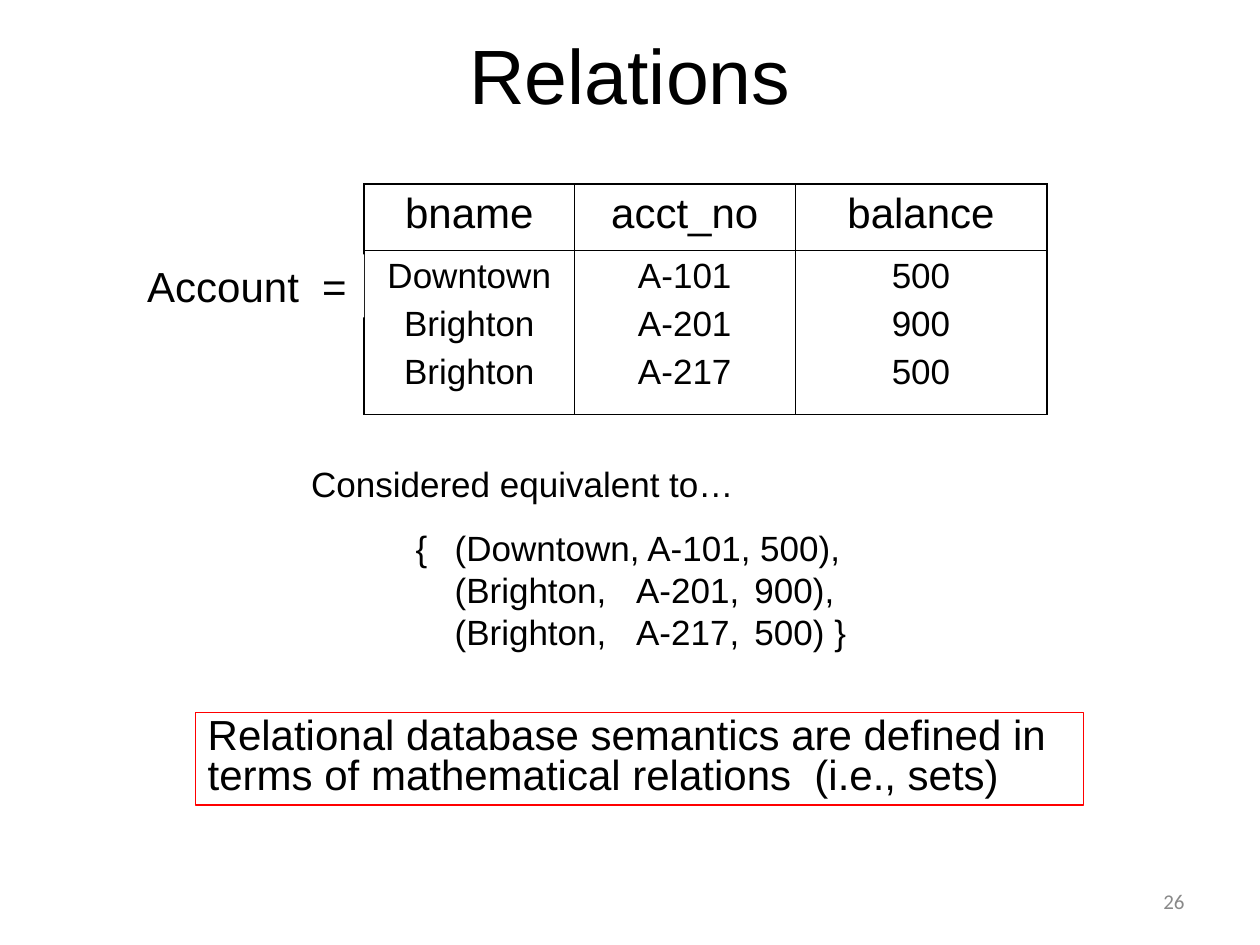
from lxml.etree import SubElement
from pptx import Presentation
from pptx.dml.color import RGBColor
from pptx.enum.shapes import MSO_SHAPE
from pptx.enum.text import MSO_ANCHOR as ANCHOR, MSO_AUTO_SIZE as AUTO, PP_ALIGN as AL
from pptx.oxml.ns import qn
from pptx.util import Pt

BLACK = "000000"
TITLE = "Relations"
HEADER = ["bname", "acct_no", "balance"]
ROWS = [("Downtown", "A-101", "500"),
        ("Brighton", "A-201", "900"),
        ("Brighton", "A-217", "500")]
SET_LINES = [" \t{ \t(Downtown, A-101, 500),",
             "\t\t(Brighton, \tA-201, \t900),",
             "\t\t(Brighton, \tA-217, \t500) }"]
SET_TABS = [49.68, 72, 90, 175.68, 243.36, 288, 360]
SEMANTICS = ("Relational database semantics are defined in terms of "
             "mathematical relations  (i.e., sets)")
COLS = [120.24, 126, 144]
HEIGHTS = [38.16, 93.6]
OUTER, INNER = 1.08, 0.45

GROW = dict(auto_size=AUTO.SHAPE_TO_FIT_TEXT)
MIDDLE = dict(vertical_anchor=ANCHOR.MIDDLE)
TEXTS = [
    ((0, 0, 720, 84.24), [TITLE], 44, dict(align=AL.CENTER), MIDDLE),
    ((180.72, 297.36, 386.64, 79.2), SET_LINES, 20, dict(tabs=SET_TABS), GROW),
    ((170.64, 260.64, 262, 31.68), ["Considered equivalent to…"], 20, {}, GROW),
    ((516.24, 500.4, 167.76, 28.8), ["26"], 12,
     dict(align=AL.RIGHT, font="Calibri", color="898989"), MIDDLE),
]
BOXES = [
    ((77.04, 145.44, 131, 36), "Account  =", "FFFFFF", None, {}),
    ((111.6, 407, 507.6, 53), SEMANTICS, None, "FF0000", dict(spacing=0.8)),
]


def rgb(value):
    return RGBColor.from_string(value)


def write(tf, lines, size, align=AL.LEFT, font="Arial", color=BLACK,
          tabs=(), spacing=None, gap=0):
    for i, line in enumerate(lines):
        p = tf.paragraphs[0] if i == 0 else tf.add_paragraph()
        if tabs:
            tab_list = SubElement(p._p.get_or_add_pPr(), qn("a:tabLst"))
            for pos in tabs:
                SubElement(tab_list, qn("a:tab"), pos=str(Pt(pos)), algn="l")
        p.alignment = align
        if spacing:
            p.line_spacing = spacing
        if i and gap:
            p.space_before = Pt(gap)
        r = p.add_run()
        r.text = line
        for key, value in dict(name=font, size=Pt(size)).items():
            setattr(r.font, key, value)
        r.font.color.rgb = rgb(color)


def fit(tf, frame):
    for key, value in dict(frame, word_wrap=True).items():
        setattr(tf, key, value)


def border(cell, side, width):
    ln = SubElement(cell._tc.get_or_add_tcPr(), qn("a:ln" + side), w=str(Pt(width)))
    SubElement(SubElement(ln, qn("a:solidFill")), qn("a:srgbClr"), val=BLACK)


def add_relation(s):
    table = s.shapes.add_table(2, 3, Pt(208.08), Pt(105.12),
                               Pt(sum(COLS)), Pt(sum(HEIGHTS))).table
    table.first_row = table.horz_banding = False
    for col, width in zip(table.columns, COLS):
        col.width = Pt(width)
    for row, height in zip(table.rows, HEIGHTS):
        row.height = Pt(height)
    for c, (name, values) in enumerate(zip(HEADER, zip(*ROWS))):
        for r, (lines, size) in enumerate([([name], 24), (values, 20)]):
            cell = table.cell(r, c)
            edges = dict(L=c == 0, R=c == len(COLS) - 1, T=r == 0, B=r == 1)
            for side, outside in edges.items():
                border(cell, side, OUTER if outside else INNER)
            cell.fill.background()
            write(cell.text_frame, lines, size, align=AL.CENTER, gap=5)


def add_box(s, at, text, fill, line, style):
    sp = s.shapes.add_shape(MSO_SHAPE.RECTANGLE, *map(Pt, at))
    sp.shadow.inherit = False
    if fill:
        sp.fill.solid()
        sp.fill.fore_color.rgb = rgb(fill)
    else:
        sp.fill.background()
    if line:
        sp.line.color.rgb = rgb(line)
        sp.line.width = Pt(0.75)
    else:
        sp.line.fill.background()
    fit(sp.text_frame, dict(GROW, vertical_anchor=ANCHOR.TOP))
    write(sp.text_frame, [text], 24, **style)


def main():
    prs = Presentation()
    prs.slide_width, prs.slide_height = Pt(720), Pt(540)
    s = prs.slides.add_slide(prs.slide_layouts[6])
    add_relation(s)
    for box in BOXES:
        add_box(s, *box)
    for at, lines, size, style, frame in TEXTS:
        tf = s.shapes.add_textbox(*map(Pt, at)).text_frame
        fit(tf, frame)
        write(tf, lines, size, **style)
    prs.save("out.pptx")


if __name__ == "__main__":
    main()
